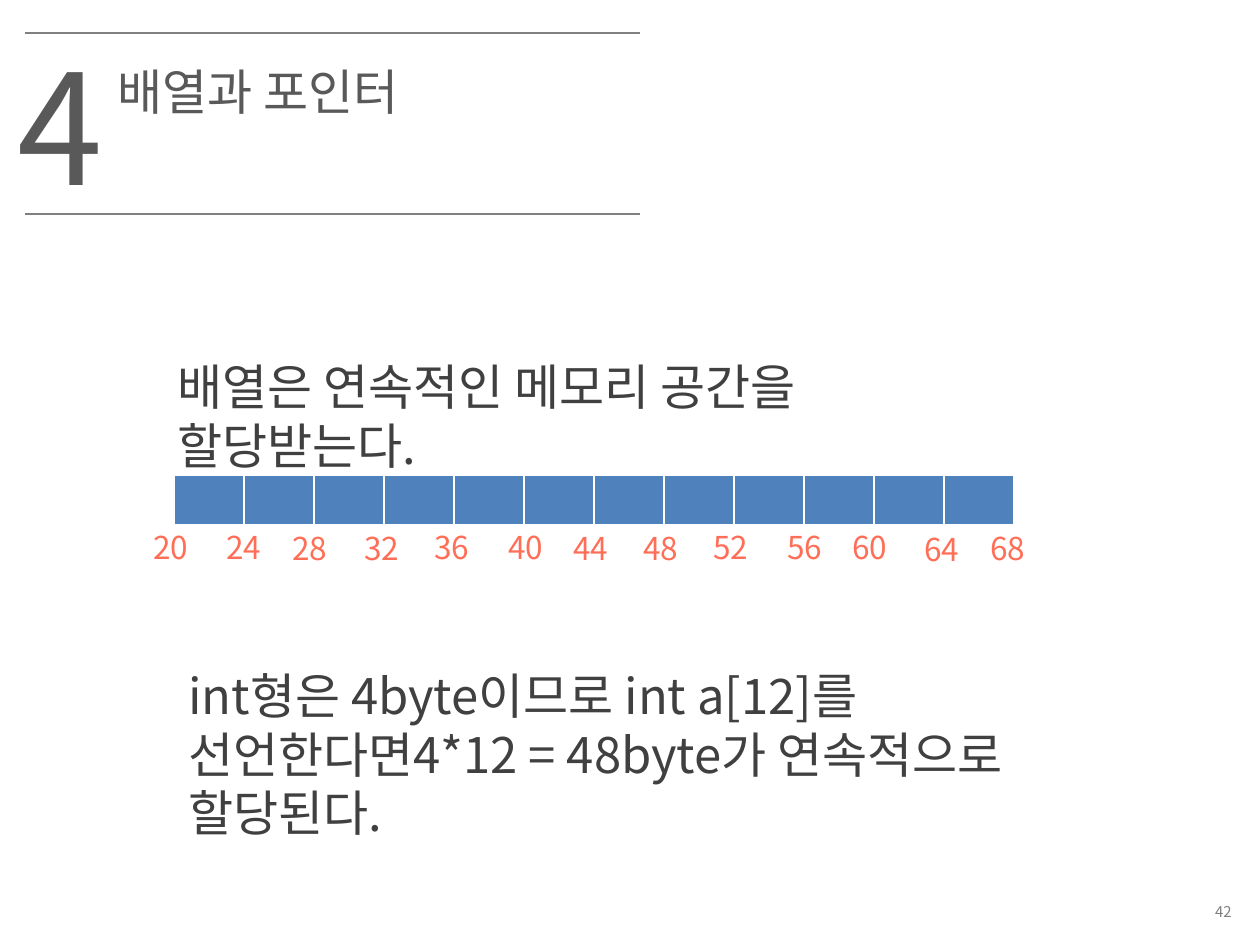
"""Build the slide on arrays and contiguous memory."""
from lxml.etree import SubElement
from pptx import Presentation
from pptx.dml.color import RGBColor
from pptx.enum.shapes import MSO_CONNECTOR
from pptx.enum.text import MSO_ANCHOR, PP_ALIGN
from pptx.oxml import parse_xml
from pptx.oxml.ns import nsdecls, qn
from pptx.util import Pt

PX = 914400 // 126
FONT = "Noto Sans CJK KR"
WHITE = RGBColor(0xFF, 0xFF, 0xFF)
GRAY = RGBColor(0x80, 0x80, 0x80)
HEADING = RGBColor(0x59, 0x59, 0x59)
BODY = RGBColor(0x40, 0x40, 0x40)
CORAL = RGBColor(0xFF, 0x6E, 0x57)
BLUE = RGBColor(0x4F, 0x81, 0xBD)

TEXTS = [
    ("배열과 포인터", (105, 55, 566, 72), 28, HEADING),
    ("4", (5, 25, 100, 199), 88, HEADING),
    ("배열은 연속적인 메모리 공간을 할당받는다.", (165, 350, 856, 72), 28, BODY),
    ("int형은 4byte이므로 int a[12]를 선언한다면4*12 = 48byte가 연속적으로 할당된다.",
     (176, 659, 890, 131), 28, BODY),
]
PAGE_NUMBER = ("42", (978, 895, 266, 34), 8.5, GRAY)
RULES = [33, 214]
RULE_LEFT, RULE_RIGHT = 25, 640
ADDRESS_START, ADDRESS_STEP = 20, 4
ADDRESS_SPOTS = [
    (141, 522), (214, 522), (280, 523), (352, 523), (422, 522), (496, 522),
    (561, 523), (631, 523), (701, 522), (775, 522), (840, 522), (912, 524),
    (978, 523),
]
CELLS, CELL_W, CELL_H = 12, 70, 51
TABLE_LEFT, TABLE_TOP = 174, 475
BORDERS = [("lnL", 1), ("lnR", 1), ("lnT", 1), ("lnB", 3)]


def px(*values):
    return [v * PX for v in values]


def add_text(s, text, box, size, color):
    tf = s.shapes.add_textbox(*px(*box)).text_frame
    tf.word_wrap = True
    tf.text = text
    r = tf.paragraphs[0].runs[0]
    r.font.name = FONT
    r.font.size = Pt(size)
    r.font.color.rgb = color
    SubElement(r.font._element, qn("a:ea")).set("typeface", FONT)
    return tf


def add_rule(s, y):
    line = s.shapes.add_connector(
        MSO_CONNECTOR.STRAIGHT, *px(RULE_LEFT, y, RULE_RIGHT, y))
    line.line.color.rgb = GRAY
    line.line.width = Pt(0.75)
    SubElement(line._element.spPr, qn("a:effectLst"))


def style_cell(cell):
    cell.margin_top = cell.margin_bottom = 0
    cell.fill.solid()
    cell.fill.fore_color.rgb = BLUE
    tcPr = cell._tc.get_or_add_tcPr()
    for i, (tag, width) in enumerate(BORDERS):
        tcPr.insert(i, parse_xml(
            f'<a:{tag} {nsdecls("a")} w="{Pt(width)}"><a:solidFill>'
            f'<a:srgbClr val="{WHITE}"/></a:solidFill></a:{tag}>'))


def add_memory(s):
    table = s.shapes.add_table(
        1, CELLS, *px(TABLE_LEFT, TABLE_TOP, CELLS * CELL_W, CELL_H)).table
    table.first_row = table.horz_banding = False
    for column in table.columns:
        column.width = CELL_W * PX
    for cell in table.iter_cells():
        style_cell(cell)
    for i, (x, y) in enumerate(ADDRESS_SPOTS):
        address = ADDRESS_START + i * ADDRESS_STEP
        add_text(s, str(address), (x, y, 67, 50), 18, CORAL)


prs = Presentation()
prs.slide_width, prs.slide_height = px(1260, 945)
s = prs.slides.add_slide(prs.slide_layouts[6])

tf = add_text(s, *PAGE_NUMBER)
tf.vertical_anchor = MSO_ANCHOR.MIDDLE
tf.paragraphs[0].alignment = PP_ALIGN.RIGHT
for y in RULES:
    add_rule(s, y)
add_memory(s)
for item in TEXTS:
    add_text(s, *item)

prs.save("out.pptx")
